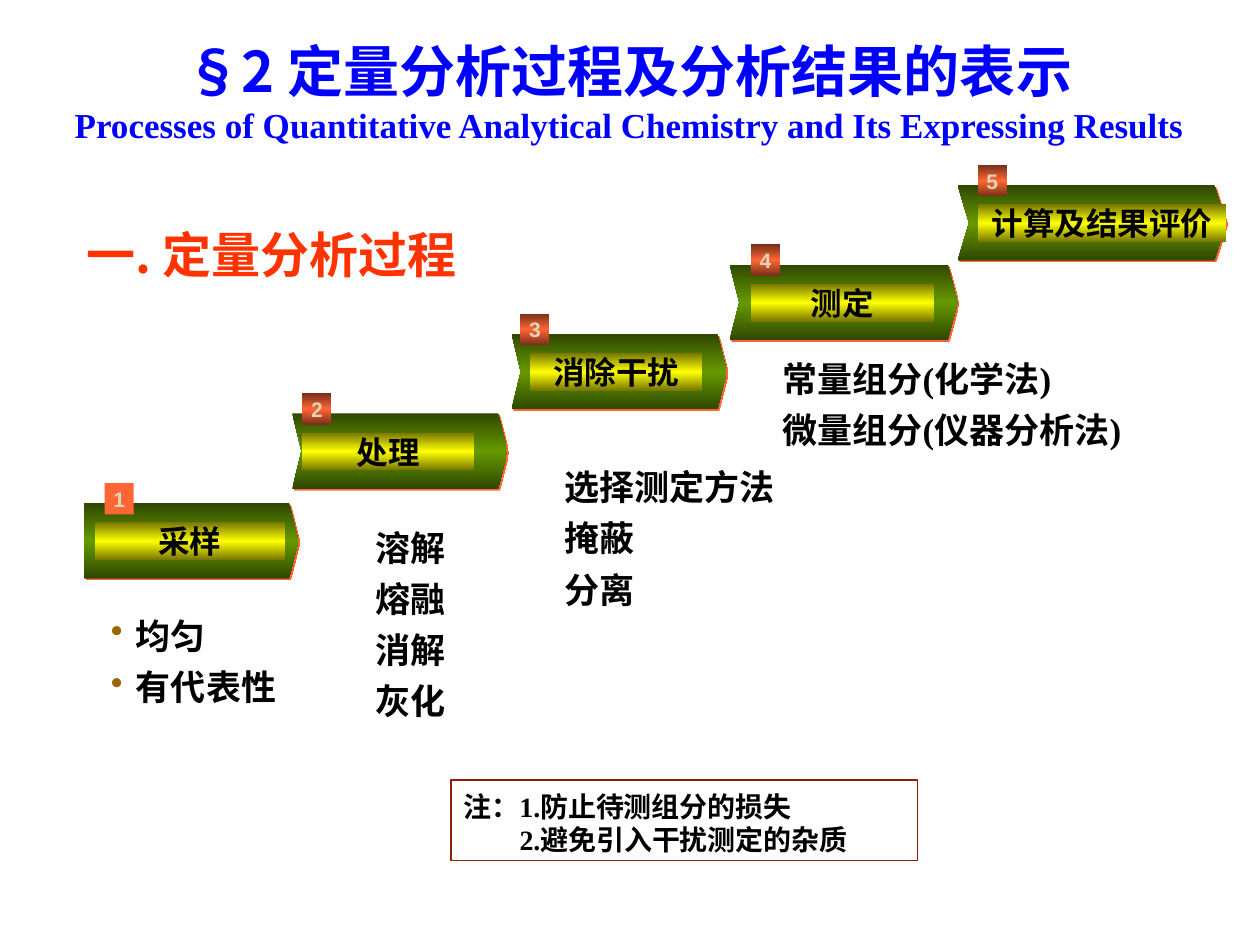
from copy import deepcopy
from lxml import etree
from pptx import Presentation
from pptx.dml.color import RGBColor
from pptx.enum.shapes import MSO_SHAPE
from pptx.enum.text import MSO_ANCHOR, PP_ALIGN
from pptx.oxml.ns import qn
from pptx.util import Pt

RECT = MSO_SHAPE.RECTANGLE
MIDDLE, TOP = MSO_ANCHOR.MIDDLE, MSO_ANCHOR.TOP
CENTER, LEFT = PP_ALIGN.CENTER, PP_ALIGN.LEFT

BLACK = RGBColor(0x00, 0x00, 0x00)
BLUE = RGBColor(0x00, 0x00, 0xFF)
RED = RGBColor(0xFF, 0x33, 0x00)
ORANGE = RGBColor(0xFF, 0x66, 0x33)
RUST = RGBColor(0x76, 0x2F, 0x18)
GREEN = RGBColor(0x66, 0x99, 0x00)
DARK_GREEN = RGBColor(0x2F, 0x47, 0x00)
YELLOW = RGBColor(0xFF, 0xFF, 0x00)
OLIVE = RGBColor(0x76, 0x76, 0x00)
CREAM = RGBColor(0xE1, 0xD5, 0xB9)
BROWN = RGBColor(0x8C, 0x21, 0x00)
BULLET = RGBColor(0x99, 0x66, 0x00)

CJK, SERIF, SANS = "Noto Sans CJK SC", "Times New Roman", "Arial"
TITLE = {"name": CJK, "size": Pt(32), "color": BLUE}
SUBTITLE = {"name": SERIF, "size": Pt(20), "color": BLUE}
HEADING = {"name": CJK, "size": Pt(28), "color": RED}
LABEL = {"name": SERIF, "size": Pt(18), "color": BLACK}
BODY = {"name": SERIF, "size": Pt(20), "color": BLACK}
NOTE = {"name": SERIF, "size": Pt(16), "color": BLACK}
NUMBER = {"name": SANS, "size": Pt(12), "color": CREAM}

title = ("§2 定量分析过程及分析结果的表示",
         "Processes of Quantitative Analytical Chemistry and Its Expressing Results")
heading = "一. 定量分析过程"
# label, left, top, width, plate left, plate width, badge left
steps = [
    ("采样", 48, 287.5, 122.5, 54, 108.7, 59.8),
    ("处理", 167, 236.2, 123, 172.8, 98, 172.8),
    ("消除干扰", 292.3, 190.8, 123, 303.1, 98, 297.4),
    ("测定", 416.9, 151.2, 130.3, 429.1, 104.4, 429.1),
    ("计算及结果评价", 547.2, 105.8, 153.4, 558.7, 141.8, 558.7),
]
details = [
    (["均匀", "有代表性"], 48.2, 351, 115, True),
    (["溶解", "熔融", "消解", "灰化"], 214.6, 300.6, 79, False),
    (["选择测定方法", "掩蔽", "分离"], 322.6, 266, 140, False),
    (["常量组分(化学法)", "微量组分(仪器分析法)"], 447.1, 204, 257, False),
]
notes = ["注：1.防止待测组分的损失", "2.避免引入干扰测定的杂质"]

ARROW_H, TIP_RATIO = 43.2, 0.043
PLATE_DY, PLATE_H = 11, 21.6
BADGE_DY, BADGE_W, BADGE_H = -11.5, 16.6, 18
LINE_RATIO = 1.21


def add_run(p, text, style):
    r = p.add_run()
    r.text = text
    r.font.bold = True
    for key, value in style.items():
        if key == "color":
            r.font.color.rgb = value
        else:
            setattr(r.font, key, value)
    etree.SubElement(r.font._element, qn("a:ea")).set("typeface", CJK)


def setup_frame(sp, anchor=TOP, inset=(0, 0), wrap=True):
    tf = sp.text_frame
    x, y = map(Pt, inset)
    frame = {"word_wrap": wrap, "vertical_anchor": anchor, "margin_left": x,
             "margin_right": x, "margin_top": y, "margin_bottom": y}
    for key, value in frame.items():
        setattr(tf, key, value)
    return tf


def add_lines(tf, lines, style, gap=0):
    for i, text in enumerate(lines):
        p = tf.add_paragraph() if i else tf.paragraphs[0]
        p.alignment = LEFT
        p.line_spacing = Pt(round(style["size"].pt * LINE_RATIO, 1))
        if i:
            p.space_before = Pt(gap)
        add_run(p, text, style)


def add_textbox(s, left, top, width, height):
    return s.shapes.add_textbox(*map(Pt, (left, top, width, height)))


def paint_gradient(sp, edge, middle):
    sp.fill.gradient()
    sp.fill.gradient_angle = 90
    stops = sp._element.spPr.find(qn("a:gradFill")).find(qn("a:gsLst"))
    stops.append(deepcopy(stops[-1]))
    for stop, pos, color in zip(sp.fill.gradient_stops, (0, 0.5, 1), (edge, middle, edge)):
        stop.position = pos
        stop.color.rgb = color


def add_rect(s, left, top, width, height):
    sp = s.shapes.add_shape(RECT, *map(Pt, (left, top, width, height)))
    sp.shadow.inherit = False
    sp.line.fill.background()
    return sp


def add_label(sp, text, style):
    p = setup_frame(sp, MIDDLE, wrap=False).paragraphs[0]
    p.alignment = CENTER
    add_run(p, text, style)


def add_arrow(s, left, top, width, notched):
    tip = round(width * TIP_RATIO, 2)
    right, mid, bottom = left + width, top + ARROW_H / 2, top + ARROW_H
    points = [(right - tip, top), (right, mid), (right - tip, bottom), (left, bottom)]
    if notched:
        points.append((left + tip, mid))
    fb = s.shapes.build_freeform(Pt(left), Pt(top))
    fb.add_line_segments([(Pt(x), Pt(y)) for x, y in points], close=True)
    sp = fb.convert_to_shape()
    sp.line.fill.background()
    sp.shadow.inherit = False
    paint_gradient(sp, DARK_GREEN, GREEN)
    effects = sp._element.spPr.find(qn("a:effectLst"))
    shadow = etree.SubElement(effects, qn("a:outerShdw"), dist=str(Pt(1.4)),
                              dir="2700000", algn="ctr", rotWithShape="0")
    etree.SubElement(shadow, qn("a:srgbClr"), val=str(ORANGE))


def add_bullet(p):
    pPr = p._p.get_or_add_pPr()
    pPr.set("marL", str(Pt(29.5)))
    pPr.set("indent", str(-Pt(14.4)))
    color = etree.SubElement(pPr, qn("a:buClr"))
    etree.SubElement(color, qn("a:srgbClr"), val=str(BULLET))
    etree.SubElement(pPr, qn("a:buChar"), char="•")


def main():
    prs = Presentation()
    prs.slide_width, prs.slide_height = Pt(720), Pt(540)
    s = prs.slides.add_slide(prs.slide_layouts[6])

    tf = setup_frame(add_textbox(s, 19.4, 18, 680.4, 67.7), MIDDLE, (7.2, 3.6))
    p = tf.paragraphs[0]
    p.alignment = CENTER
    add_run(p, title[0], TITLE)
    p.add_line_break()
    add_run(p, title[1], SUBTITLE)

    tf = setup_frame(add_textbox(s, 42.5, 124.5, 266.4, 41), inset=(7.2, 3.6))
    add_lines(tf, [heading], HEADING)

    for i, (label, left, top, width, plate_x, plate_w, badge_x) in enumerate(steps):
        add_arrow(s, left, top, width, notched=i > 0)
        plate = add_rect(s, plate_x, top + PLATE_DY, plate_w, PLATE_H)
        paint_gradient(plate, OLIVE, YELLOW)
        add_label(plate, label, LABEL)
        badge = add_rect(s, badge_x, top + BADGE_DY, BADGE_W, BADGE_H)
        if i:
            paint_gradient(badge, RUST, ORANGE)
        else:
            badge.fill.solid()
            badge.fill.fore_color.rgb = ORANGE
        add_label(badge, str(i + 1), NUMBER)

    for lines, left, top, width, bulleted in details:
        tf = setup_frame(add_textbox(s, left, top, width, 29 * len(lines) - 5))
        add_lines(tf, lines, BODY, gap=5)
        if bulleted:
            for p in tf.paragraphs:
                add_bullet(p)

    box = add_rect(s, 257.8, 445.7, 266.4, 46)
    box.fill.background()
    box.line.color.rgb = BROWN
    box.line.width = Pt(0.75)
    tf = setup_frame(box, inset=(7.2, 5))
    add_lines(tf, notes, NOTE)
    tf.paragraphs[1]._p.get_or_add_pPr().set("marL", str(Pt(32)))

    prs.save("out.pptx")


if __name__ == "__main__":
    main()
